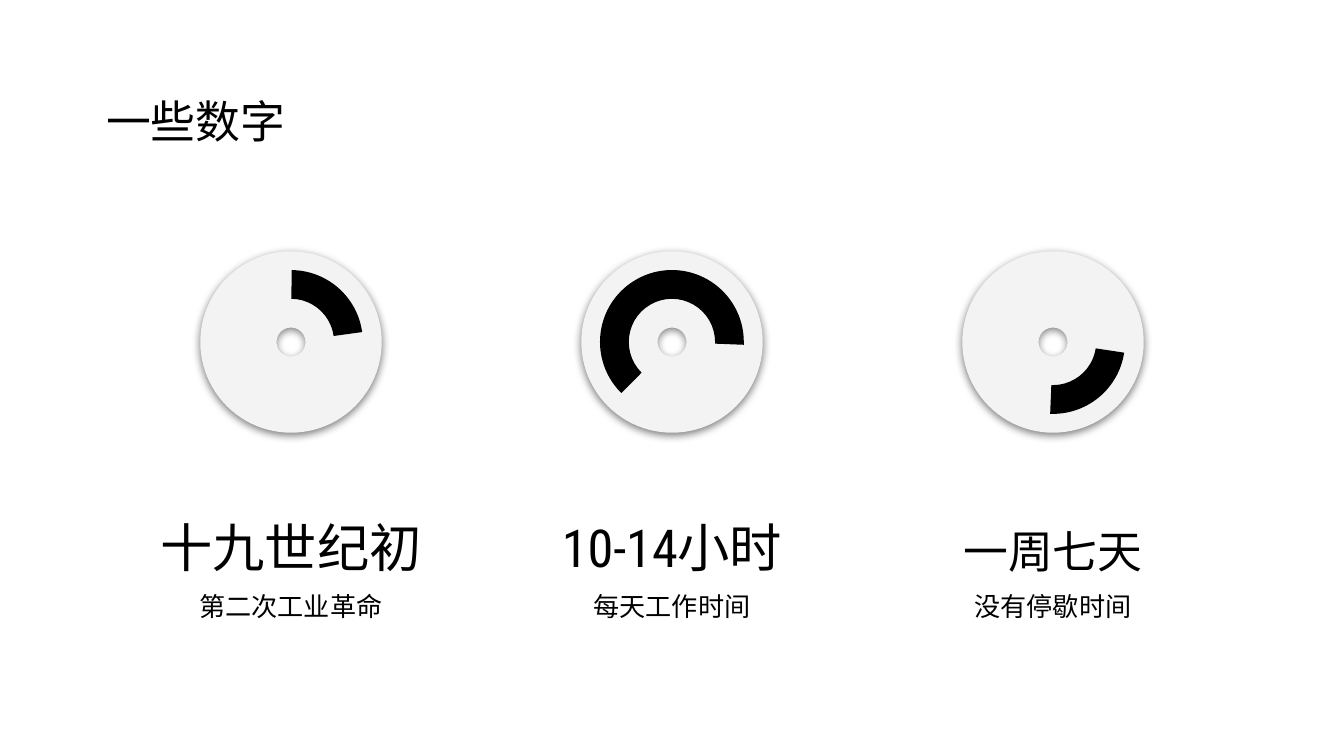
from lxml import etree
from pptx import Presentation, util as u
from pptx.dml.color import RGBColor
from pptx.enum import shapes, text
from pptx.oxml.ns import qn

WIDTH = 10
HEIGHT = WIDTH * 9 / 16
FONT = "Roboto Condensed"
BLACK, DISC_GREY = "000000", "F3F3F3"
COLUMN_LEFT, COLUMN_WIDTH = 1.03, 2.27
COLUMN_STEP = (WIDTH - 2 * COLUMN_LEFT - COLUMN_WIDTH) / 2
COLUMN_TOP, COLUMN_HEIGHT = 1.87, 3.31
DISC_SIZE, ARC_SIZE, TEXT_HEIGHT = 1.35, 1.07, 0.89
FIGURES = [
    ("十九世纪初", 28, "第二次工业革命", (162.38, 211.26, 0.2), 0),
    ("10-14小时", 28, "每天工作时间", (80.8, 1.36, 0.2), 0),
    ("一周七天", 24, "没有停歇时间", (167.14, 1.36, 0.2), 90),
]


def colour(value):
    return RGBColor.from_string(value)


def apply(target, values):
    for name, value in values.items():
        setattr(target, name, value)


def inches(*lengths):
    return [u.Inches(length) for length in lengths]


def write(box, content, size, align, anchor):
    frame = box.text_frame
    margins = {f"margin_{side}": u.Inches(0.1) for side in ("left", "top", "right", "bottom")}
    apply(frame, {"word_wrap": True, "auto_size": text.MSO_AUTO_SIZE.NONE,
                  "vertical_anchor": anchor, **margins})
    para = frame.paragraphs[0]
    para.alignment = align
    span = para.add_run()
    span.text = content
    apply(span.font, {"name": FONT, "size": u.Pt(size)})
    span.font.color.rgb = colour(BLACK)


def add_ring(group, kind, centre_x, centre_y, size, fill, adjustments):
    ring = group.shapes.add_shape(
        kind, *inches(centre_x - size / 2, centre_y - size / 2, size, size))
    ring.shadow.inherit = False
    ring.fill.solid()
    ring.fill.fore_color.rgb = colour(fill)
    ring.line.fill.background()
    for index, value in enumerate(adjustments):
        ring.adjustments[index] = value
    return ring


def add_shadow(shape):
    effects = shape.element.spPr.find(qn("a:effectLst"))
    shadow = etree.SubElement(effects, qn("a:outerShdw"), {
        "blurRad": str(u.Pt(4.5)), "dist": str(u.Pt(1.5)), "dir": "5400000",
        "algn": "bl", "rotWithShape": "0"})
    tint = etree.SubElement(shadow, qn("a:srgbClr"), val=BLACK)
    etree.SubElement(tint, qn("a:alpha"), val="50000")


def add_title(page, left, top, width, height, content):
    title = page.shapes.title
    apply(title, dict(zip(("left", "top", "width", "height"), inches(left, top, width, height))))
    write(title, content, 24, text.PP_ALIGN.LEFT, text.MSO_ANCHOR.TOP)


def add_figure(page, left, top, width, height, figure):
    number, size, caption, arc_values, rotation = figure
    group = page.shapes.add_group_shape()
    centre = left + width / 2, top + DISC_SIZE / 2
    disc = add_ring(group, shapes.MSO_SHAPE.DONUT, *centre, DISC_SIZE, DISC_GREY, (0.42,))
    add_shadow(disc)
    arc = add_ring(group, shapes.MSO_SHAPE.BLOCK_ARC, *centre, ARC_SIZE, BLACK, arc_values)
    arc.rotation = rotation

    caption_top = top + height - TEXT_HEIGHT
    number_top = caption_top - 0.78
    for content, points, box_top, anchor in (
            (number, size, number_top, text.MSO_ANCHOR.BOTTOM),
            (caption, 14, caption_top, text.MSO_ANCHOR.TOP)):
        box = page.shapes.add_textbox(*inches(left, box_top, width, TEXT_HEIGHT))
        write(box, content, points, text.PP_ALIGN.CENTER, anchor)


def main():
    deck = Presentation()
    deck.slide_width, deck.slide_height = inches(WIDTH, HEIGHT)
    page = deck.slides.add_slide(deck.slide_layouts.get_by_name("Title Only"))
    add_title(page, 0.69, 0.6, 9.32, 0.63, "一些数字")
    for column, figure in enumerate(FIGURES):
        left = COLUMN_LEFT + column * COLUMN_STEP
        add_figure(page, left, COLUMN_TOP, COLUMN_WIDTH, COLUMN_HEIGHT, figure)
    deck.save("out.pptx")


if __name__ == "__main__":
    main()
